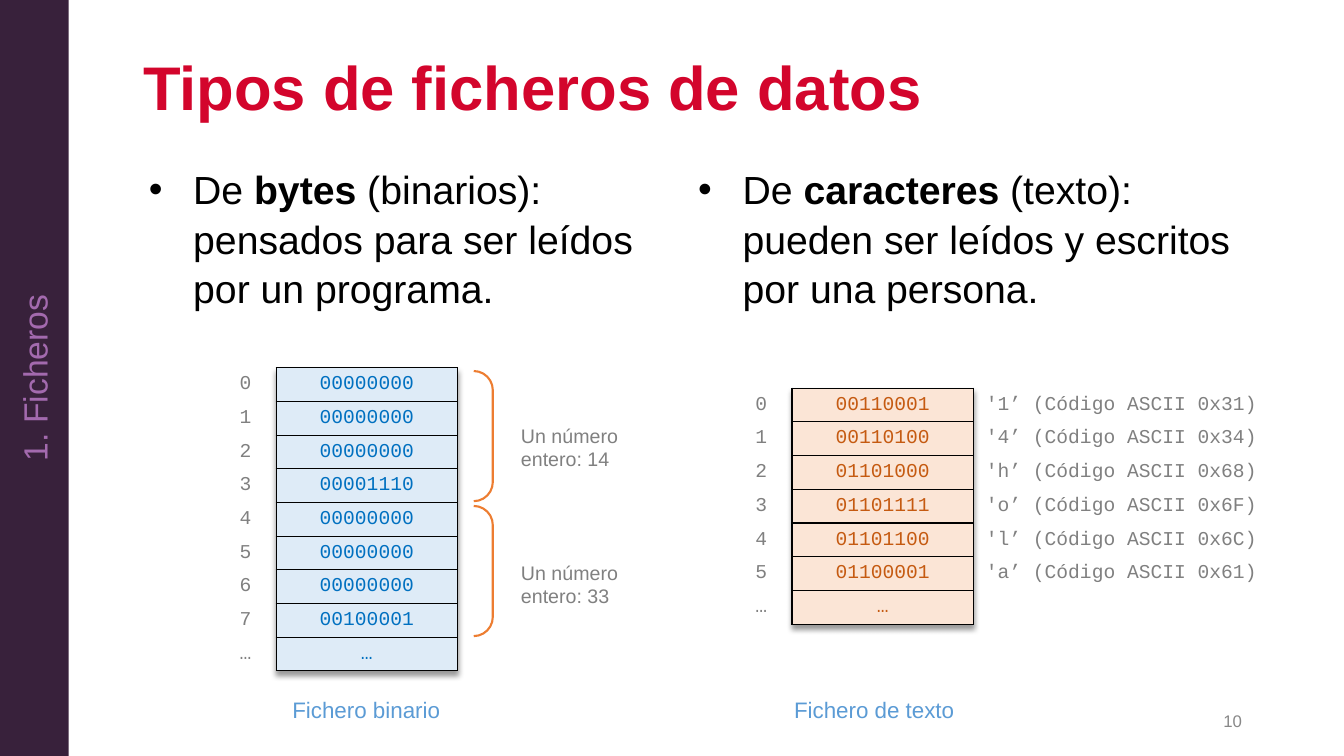
"""Build the slide that compares binary and text data files."""
from dataclasses import dataclass

from lxml import etree
from pptx import Presentation
from pptx import oxml
from pptx import util as u
from pptx.dml.color import RGBColor
from pptx.enum import shapes, text

Cm = u.Cm
NAMESPACE = 'xmlns:a="http://schemas.openxmlformats.org/drawingml/2006/main"'
NO_STYLE = "{2D5ABB26-0587-4C30-8999-92F81FD0307C}"


@dataclass(frozen=True)
class Theme:
    sans: str = "Arial"
    mono: str = "Courier New"
    title: str = "D3052C"
    body: str = "000000"
    sidebar: str = "38213B"
    chapter: str = "A36AAE"
    grey: str = "808080"
    page: str = "888888"
    caption: str = "5B9BD5"
    bracket: str = "ED7D31"
    binary_fill: str = "DEEBF7"
    binary_text: str = "0070C0"
    text_fill: str = "FBE5D6"
    text_text: str = "C55A11"
    title_size: int = 44
    body_size: int = 28
    chapter_size: int = 24
    caption_size: int = 16
    small_size: int = 14
    page_size: int = 12


theme = Theme()
LEFT, CENTER, RIGHT = text.PP_ALIGN.LEFT, text.PP_ALIGN.CENTER, text.PP_ALIGN.RIGHT


def format_paragraph(paragraph, size, color, alignment=LEFT, name=theme.sans, bold=None):
    paragraph.alignment = alignment
    paragraph.font.size = u.Pt(size)
    paragraph.font.name = name
    paragraph.font.bold = bold
    paragraph.font.color.rgb = RGBColor.from_string(color)


def add_column(left, top, width, row_height, values, color, alignment=CENTER, fill=None):
    frame = slide.shapes.add_table(
        len(values), 1, Cm(left), Cm(top), Cm(width), Cm(row_height * len(values)))
    table = frame.table
    table.first_row = table.horz_banding = False
    properties = table._tbl.tblPr
    properties[0].text = NO_STYLE
    if fill:
        properties.insert(0, oxml.parse_xml(
            f'<a:effectLst {NAMESPACE}><a:outerShdw blurRad="50800" dist="38100" dir="5400000">'
            '<a:srgbClr val="000000"><a:alpha val="40000"/></a:srgbClr>'
            '</a:outerShdw></a:effectLst>'))
    for index, value in enumerate(values):
        table.rows[index].height = Cm(row_height)
        cell = table.cell(index, 0)
        cell.text = value
        cell.vertical_anchor = text.MSO_ANCHOR.MIDDLE
        format_paragraph(cell.text_frame.paragraphs[0], theme.small_size, color,
                         alignment, theme.mono)
        if fill:
            for side in ("lnL", "lnR", "lnT", "lnB"):
                cell._tc.get_or_add_tcPr().append(oxml.parse_xml(
                    f'<a:{side} {NAMESPACE} w="12700"><a:solidFill>'
                    f'<a:srgbClr val="{theme.body}"/></a:solidFill></a:{side}>'))
            cell.fill.solid()
            cell.fill.fore_color.rgb = RGBColor.from_string(fill)


presentation = Presentation()
presentation.slide_width, presentation.slide_height = Cm(33.87), Cm(19.05)
slide = presentation.slides.add_slide(presentation.slide_layouts[5])

title = slide.shapes.title
title.left, title.top, title.width, title.height = Cm(3.35), Cm(1.19), Cm(28.19), Cm(2.18)
title.text_frame.text = "Tipos de ficheros de datos"
title.text_frame.auto_size = text.MSO_AUTO_SIZE.NONE
title.text_frame.vertical_anchor = text.MSO_ANCHOR.MIDDLE
title.text_frame.paragraphs[0].line_spacing = 0.9
format_paragraph(title.text_frame.paragraphs[0], theme.title_size, theme.title, bold=True)

body = slide.shapes.add_textbox(Cm(3.35), Cm(3.99), Cm(28.19), Cm(4.9)).text_frame
body.word_wrap = True
body._txBody.bodyPr.set("numCol", "2")
file_types = [
    ("bytes", " (binarios): pensados para ser leídos por un programa."),
    ("caracteres", " (texto): pueden ser leídos y escritos por una persona."),
]
for index, (kind, description) in enumerate(file_types):
    paragraph = body.add_paragraph() if index else body.paragraphs[0]
    paragraph.line_spacing = 1.05
    if index:
        paragraph.space_before = u.Pt(10)
    properties = paragraph._p.get_or_add_pPr()
    properties.set("marL", str(Cm(1.27)))
    properties.set("indent", str(-Cm(1.12)))
    for tag, attribute, value in (("buFont", "typeface", theme.sans), ("buChar", "char", "•")):
        etree.SubElement(properties, oxml.ns.qn(f"a:{tag}")).set(attribute, value)
    format_paragraph(paragraph, theme.body_size, theme.body)
    for words in ("De ", kind, description):
        run = paragraph.add_run()
        run.text = words
        if words == kind:
            run.font.bold = True

sidebar = slide.shapes.add_shape(
    shapes.MSO_SHAPE.RECTANGLE, 0, 0, Cm(1.73), presentation.slide_height)
sidebar.shadow.inherit = False
sidebar.fill.solid()
sidebar.fill.fore_color.rgb = RGBColor.from_string(theme.sidebar)
sidebar.line.fill.background()
sidebar.text_frame.text = "1. Ficheros"
sidebar.text_frame.vertical_anchor = text.MSO_ANCHOR.MIDDLE
sidebar.text_frame._txBody.bodyPr.set("vert", "vert270")
format_paragraph(sidebar.text_frame.paragraphs[0], theme.chapter_size, theme.chapter, CENTER)

zero = "00000000"
binary_bytes = [zero, zero, zero, "00001110", zero, zero, zero, "00100001", "…"]
characters = "14hola"
text_bytes = [f"{ord(character):08b}" for character in characters] + ["…"]
codes = [f"'{character}’ (Código ASCII 0x{ord(character):X})" for character in characters]

files = [
    (5.69, 9.27, 0.82, binary_bytes, theme.binary_text, theme.binary_fill),
    (18.69, 9.78, 0.85, text_bytes, theme.text_text, theme.text_fill),
]
for left, top, row_height, values, color, fill in files:
    positions = [str(index) for index in range(len(values) - 1)] + ["…"]
    add_column(left + 1.27, top, 4.57, row_height, values, color, fill=fill)
    add_column(left, top, 0.99, row_height, positions, theme.grey)
add_column(24.59, 9.78, 7.62, 0.85, codes, theme.grey, LEFT)

for top in (9.35, 12.75):
    bracket = slide.shapes.add_shape(
        shapes.MSO_SHAPE.RIGHT_BRACKET, Cm(11.94), Cm(top), Cm(0.48), Cm(3.28))
    bracket.adjustments[0] = 1.01
    bracket.shadow.inherit = False
    bracket.fill.background()
    bracket.line.color.rgb = RGBColor.from_string(theme.bracket)
    bracket.line.width = u.Pt(1.5)

labels = [
    ("Un número entero: 14", 12.88, 10.54, 3.02, 1.45, theme.small_size, theme.grey, LEFT),
    ("Un número entero: 33", 12.88, 14, 3.02, 1.45, theme.small_size, theme.grey, LEFT),
    ("Fichero binario", 5.89, 17.4, 6.68, 0.94, theme.caption_size, theme.caption, CENTER),
    ("Fichero de texto", 18.69, 17.4, 6.68, 0.94, theme.caption_size, theme.caption, CENTER),
    ("10", 23.93, 17.65, 7.62, 1.02, theme.page_size, theme.page, RIGHT),
]
for words, left, top, width, height, size, color, alignment in labels:
    label = slide.shapes.add_textbox(Cm(left), Cm(top), Cm(width), Cm(height)).text_frame
    label.word_wrap = True
    label.text = words
    label.vertical_anchor = text.MSO_ANCHOR.MIDDLE
    format_paragraph(label.paragraphs[0], size, color, alignment)

presentation.save("out.pptx")
